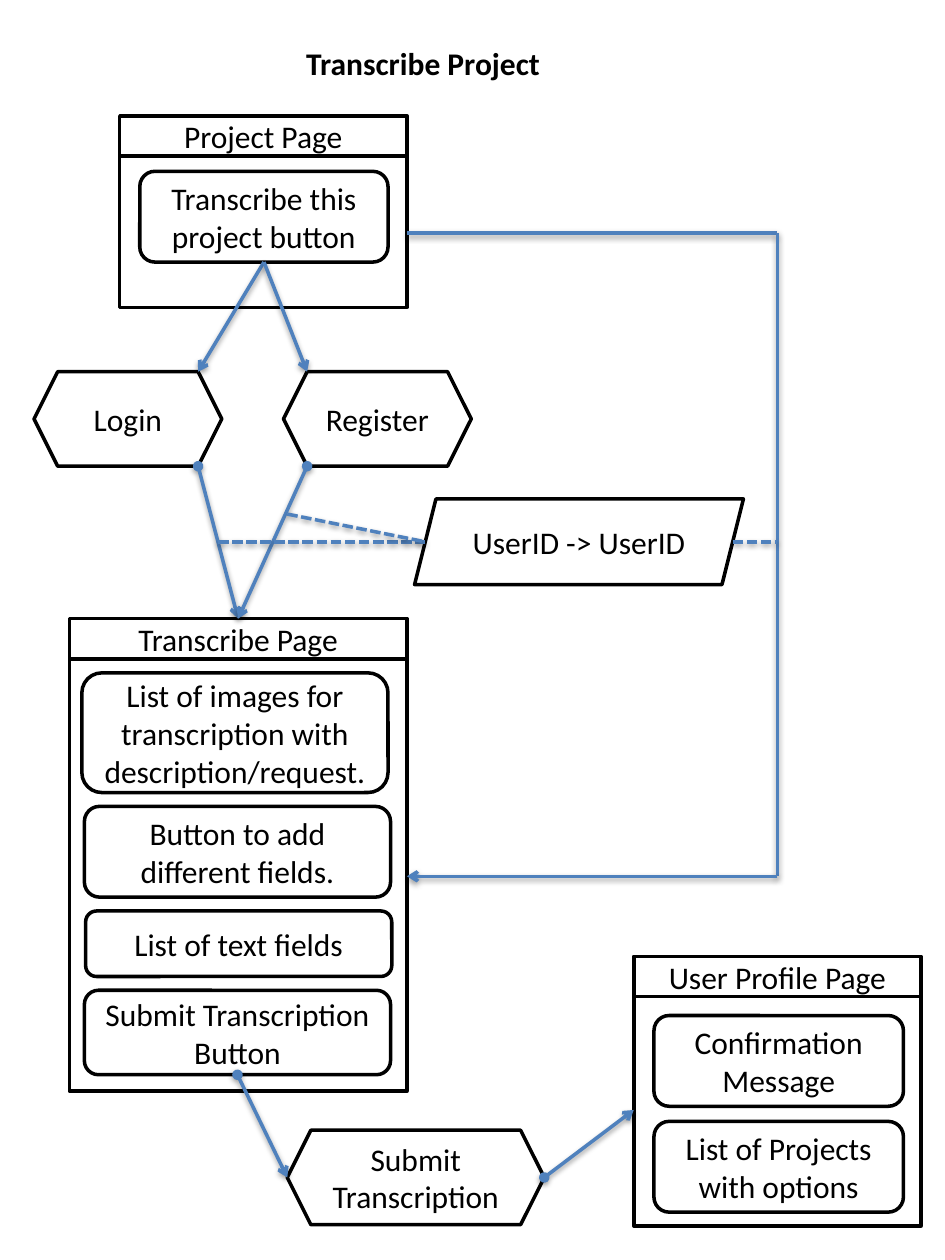
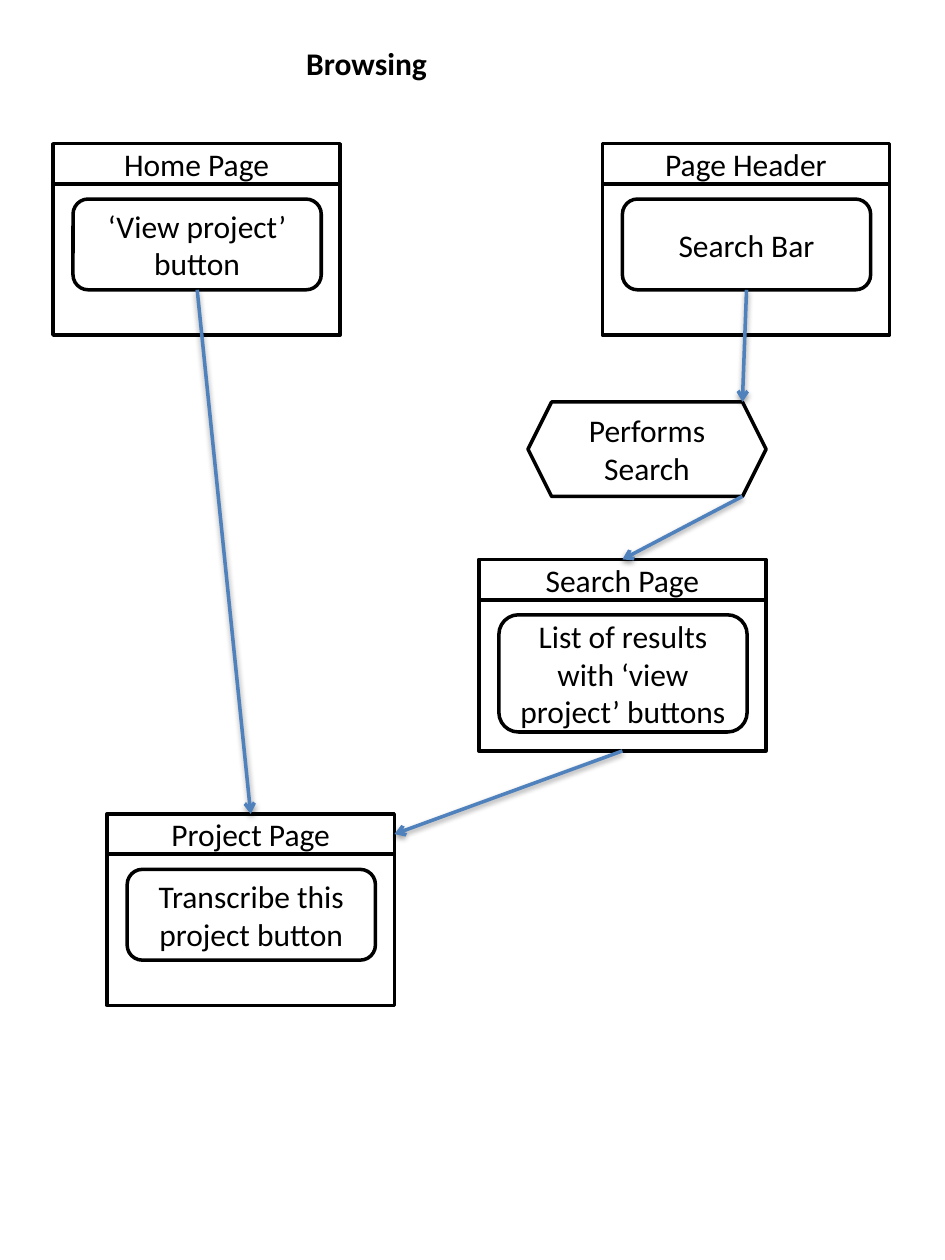
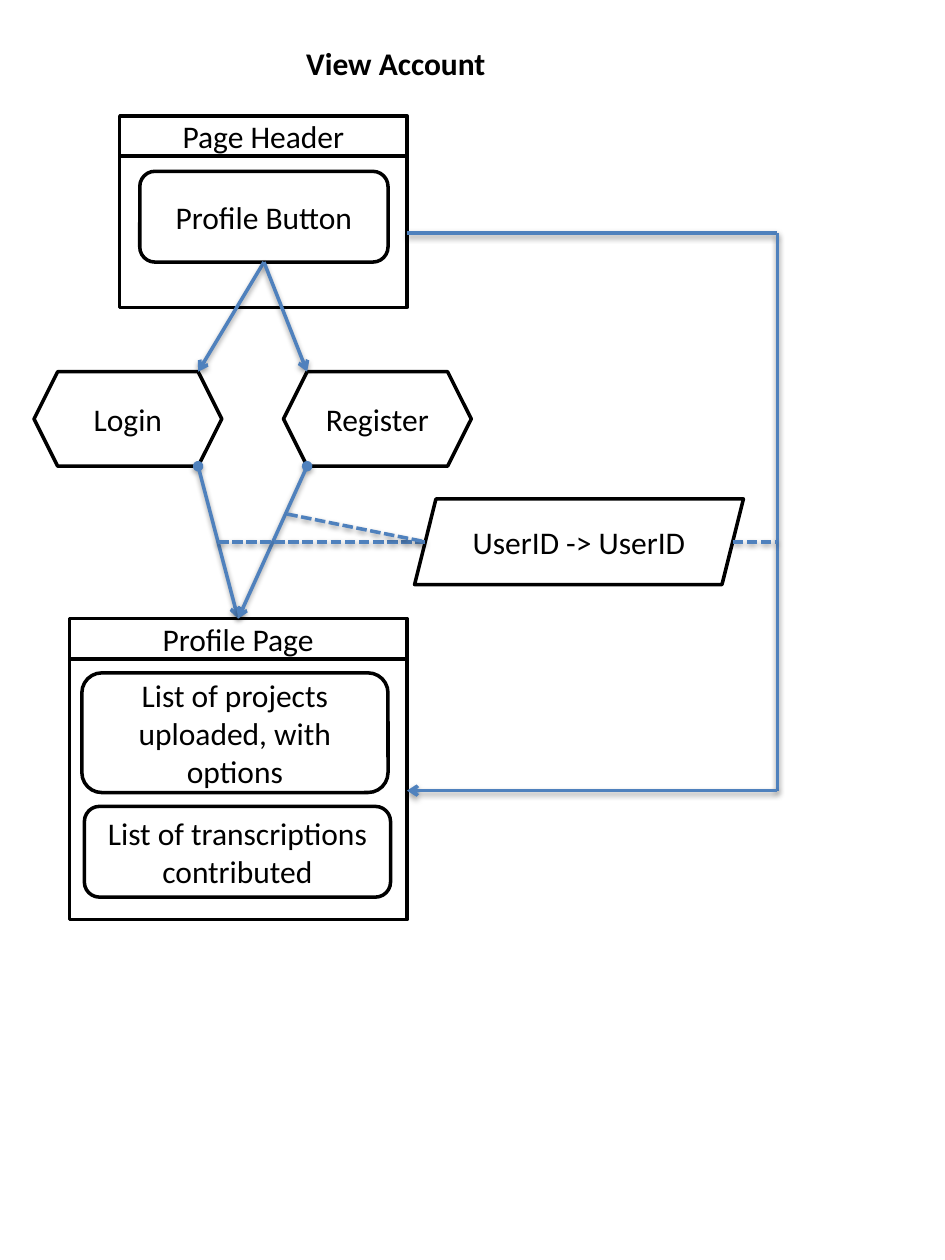
from lxml import etree
from pptx import Presentation
from pptx.dml.color import RGBColor
from pptx.enum.dml import MSO_LINE
from pptx.enum.shapes import MSO_CONNECTOR, MSO_SHAPE
from pptx.enum.text import MSO_ANCHOR, MSO_AUTO_SIZE, PP_ALIGN
from pptx.oxml import parse_xml
from pptx.oxml.ns import nsdecls, qn
from pptx.util import Inches, Pt

RECT = MSO_SHAPE.RECTANGLE
ROUND = MSO_SHAPE.ROUNDED_RECTANGLE
HEX = MSO_SHAPE.HEXAGON
SLANT = MSO_SHAPE.PARALLELOGRAM
LINE = MSO_CONNECTOR.STRAIGHT
DASH = MSO_LINE.SQUARE_DOT
LEFT, CENTER = PP_ALIGN.LEFT, PP_ALIGN.CENTER
TOP, MIDDLE = MSO_ANCHOR.TOP, MSO_ANCHOR.MIDDLE
GROW = MSO_AUTO_SIZE.SHAPE_TO_FIT_TEXT

INK, PAPER, BLUE = "000000", "FFFFFF", "4F81BD"
FONT, SIZE, WEIGHT = "Calibri", 18, 2
HEAD = 0.32
SHADOW = (
    f'<a:effectLst {nsdecls("a")}><a:outerShdw blurRad="40000" dist="20000" '
    'dir="5400000" rotWithShape="0"><a:srgbClr val="000000">'
    '<a:alpha val="38000"/></a:srgbClr></a:outerShdw></a:effectLst>'
)


def color(code):
    return RGBColor.from_string(code)


def write(shape, text, bold=False, align=CENTER, anchor=MIDDLE, wrap=True):
    frame = shape.text_frame
    frame.word_wrap = wrap
    frame.vertical_anchor = anchor
    frame.margin_left = frame.margin_right = Inches(0.1)
    frame.margin_top = frame.margin_bottom = Inches(0.05)
    para = frame.paragraphs[0]
    para.alignment = align
    run = para.add_run()
    run.text = text
    font = run.font
    font.name, font.size, font.bold = FONT, Pt(SIZE), bold
    font.color.rgb = color(INK)


def node(slide, kind, box, text=""):
    shape = slide.shapes.add_shape(kind, *map(Inches, box))
    shape.shadow.inherit = False
    shape.fill.solid()
    shape.fill.fore_color.rgb = color(PAPER)
    shape.line.color.rgb = color(INK)
    shape.line.width = Pt(WEIGHT)
    if text:
        write(shape, text)
    return box


def spot(box, across, down):
    x, y, w, h = box
    return x + w * across, y + h * down


def corner(box, right, down):
    x, y, w, h = box
    cut = h / 4
    return (x + w - cut if right else x + cut), y + h * down


def link(slide, start, end, head=None, tail="arrow", dash=None):
    wire = slide.shapes.add_connector(LINE, *map(Inches, start + end))
    wire.line.color.rgb = color(BLUE)
    wire.line.width = Pt(WEIGHT)
    if dash:
        wire.line.dash_style = dash
    props = wire._element.spPr
    for tag, style in (("a:headEnd", head), ("a:tailEnd", tail)):
        if style:
            etree.SubElement(props.find(qn("a:ln")), qn(tag), type=style)
    props.append(parse_xml(SHADOW))


def start(deck, text, width):
    slide = deck.slides.add_slide(deck.slide_layouts[5])
    title = slide.shapes.title
    write(title, text, bold=True, align=LEFT, anchor=TOP, wrap=False)
    title.text_frame.auto_size = GROW
    title.left, title.top = Inches(2.33), Inches(0.3)
    title.width, title.height = Inches(width), Inches(0.4)
    return slide


def page(slide, box, title, items, width=1.97, first=0.44, gap=0.12):
    x, y, w, h = box
    node(slide, RECT, (x, y + HEAD, w, h - HEAD))
    node(slide, RECT, (x, y, w, HEAD), title)
    top = y + first
    parts = []
    for text, inset, high in items:
        parts.append(node(slide, ROUND, (x + inset, top, width, high), text))
        top += high + gap
    return parts


def small(slide, x, y, title, text, high=0.72):
    box = (x, y, 2.28, 1.52)
    return box, page(slide, box, title, [(text, 0.16, high)])[0]


def center(box):
    x, y, w, h = box
    return x + w, y + (h + HEAD) / 2 + 0.01


def entry(slide, source, button, goal):
    login = node(slide, HEX, (0.27, 2.95, 1.49, 0.75), "Login")
    join = node(slide, HEX, (2.25, 2.95, 1.49, 0.75), "Register")
    user = node(slide, SLANT, (3.29, 3.96, 2.61, 0.68), "UserID -> UserID")
    for gate, right in ((login, True), (join, False)):
        link(slide, spot(button, 0.5, 1), corner(gate, right, 0))
        link(slide, corner(gate, right, 1), spot(goal, 0.5, 0), head="oval")
    edge = 6.17
    (left, top), (side, low) = center(source), center(goal)
    link(slide, (edge, top), (left, top), tail=None)
    link(slide, (edge, top), (edge, low), tail=None)
    link(slide, (edge, low), (side, low))
    x, y, w, h = user
    slant, mid = h / 8, y + h / 2
    for begin, end in (
        ((x + w - slant, mid), (edge, mid)),
        ((1.73, mid), (x + slant, mid)),
        ((2.28, 4.08), (x + slant, mid)),
    ):
        link(slide, begin, end, tail=None, dash=DASH)


def list_page(slide, high, title, items):
    box = (0.55, 4.91, 2.68, high)
    return box, page(slide, box, title, items, width=2.43, first=0.43, gap=0.11)


def transcribe(deck):
    slide = start(deck, "Transcribe Project", 2.1)
    source, button = small(slide, 0.95, 0.92, "Project Page", "Transcribe this project button")
    goal, parts = list_page(slide, 3.75, "Transcribe Page", [
        ("List of images for transcription with description/request.", 0.1, 0.95),
        ("Button to add different fields.", 0.12, 0.72),
        ("List of text fields", 0.13, 0.52),
        ("Submit Transcription Button", 0.12, 0.67),
    ])
    entry(slide, source, button, goal)
    user = (5.03, 7.59, 2.28, 2.14)
    page(slide, user, "User Profile Page", [
        ("Confirmation Message", 0.16, 0.72),
        ("List of Projects with options", 0.16, 0.72),
    ], width=1.98, first=0.47)
    send = node(slide, HEX, (2.28, 8.97, 2.04, 0.75), "Submit Transcription")
    link(slide, spot(parts[-1], 0.5, 1), spot(send, 0, 0.5), head="oval")
    link(slide, spot(send, 1, 0.5), spot(user, 0, 0.57), head="oval")


def browse(deck):
    slide = start(deck, "Browsing", 1.18)
    goal, _ = small(slide, 0.85, 6.46, "Project Page", "Transcribe this project button")
    _, view = small(slide, 0.42, 1.14, "Home Page", "‘View project’ button")
    _, bar = small(slide, 4.78, 1.14, "Page Header", "Search Bar")
    found, _ = small(slide, 3.8, 4.44, "Search Page", "List of results with ‘view project’ buttons", 0.93)
    seek = node(slide, HEX, (4.19, 3.19, 1.89, 0.75), "Performs Search")
    link(slide, spot(view, 0.5, 1), spot(goal, 0.5, 0))
    link(slide, spot(bar, 0.5, 1), corner(seek, True, 0))
    link(slide, corner(seek, True, 1), spot(found, 0.5, 0))
    x, y, w, _ = goal
    link(slide, spot(found, 0.5, 1), (x + w, y + HEAD / 2))


def account(deck):
    slide = start(deck, "View Account", 1.64)
    source, button = small(slide, 0.95, 0.92, "Page Header", "Profile Button")
    goal, _ = list_page(slide, 2.39, "Profile Page", [
        ("List of projects uploaded, with options", 0.1, 0.95),
        ("List of transcriptions contributed", 0.12, 0.72),
    ])
    entry(slide, source, button, goal)


def main():
    deck = Presentation()
    deck.slide_width, deck.slide_height = Inches(7.5), Inches(10)
    transcribe(deck)
    browse(deck)
    account(deck)
    deck.save("out.pptx")


if __name__ == "__main__":
    main()
